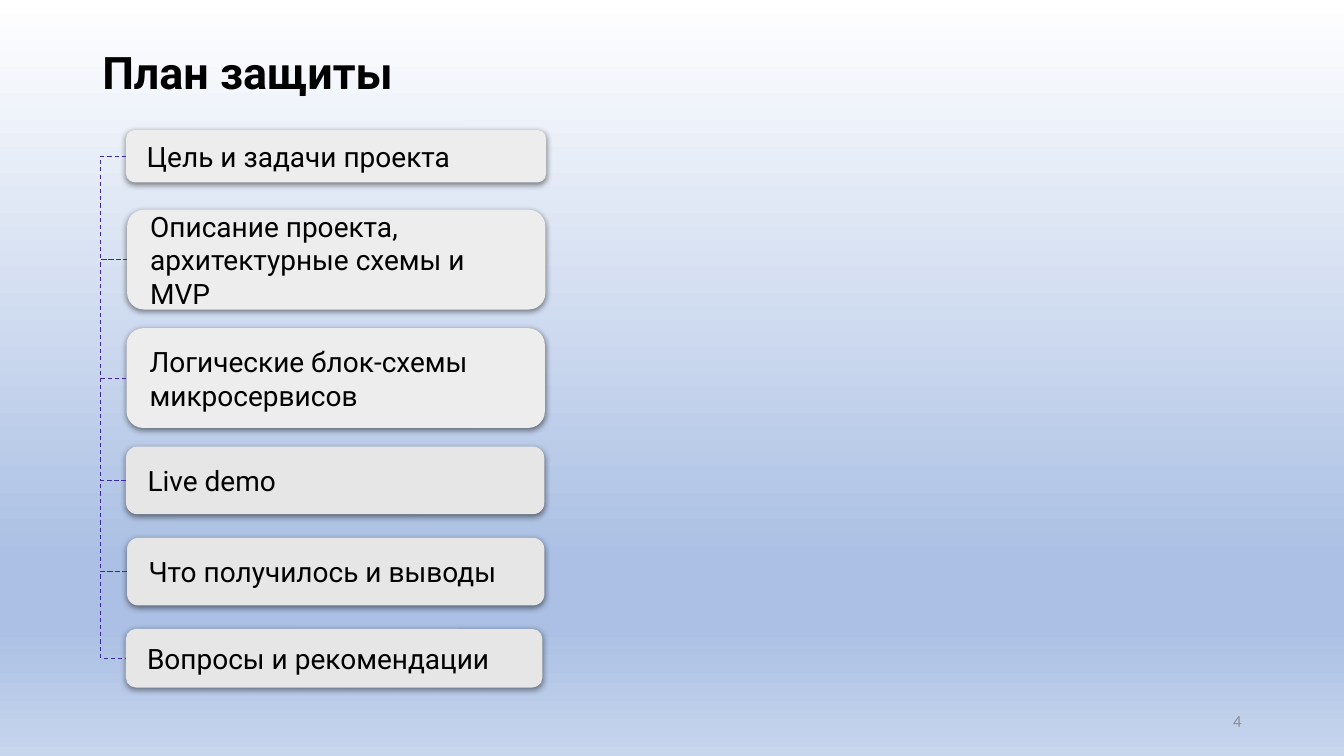
from lxml import etree
from pptx import Presentation
from pptx.dml.color import RGBColor
from pptx.enum import dml, shapes, text
from pptx.oxml import ns, parse_xml
from pptx.util import Pt

COLORS = {
    "text": "000000",
    "number": "8C8C8C",
    "light": "EDEDED",
    "grey": "E7E6E6",
    "line": "3F299A",
    "shadow": "000000",
}
BACKGROUND_STOPS = [(0, "FFFFFF"), (74, "ABC0E4"), (83, "ABC0E4"), (100, "C7D5ED")]

# wording, fill, and left, top, width, height in points
PLAN = [
    ("Цель и задачи проекта", "light", (90, 92.9, 300.2, 37.4)),
    ("Описание проекта, архитектурные схемы и MVP", "light", (90.8, 149.8, 298.8, 71.3)),
    ("Логические блок-схемы микросервисов", "light", (90.4, 234.4, 298.8, 71.3)),
    ("Live demo", "grey", (90, 319, 298.8, 48.3)),
    ("Что получилось и выводы", "grey", (90.8, 384.2, 298.1, 48.3)),
    ("Вопросы и рекомендации", "grey", (90, 449.3, 297.4, 41.8)),
]
LINKS = [(0, 1), (1, 3), (3, 4), (4, 5), (1, 2)]
SPINE_X = 72


def color(name):
    return RGBColor.from_string(COLORS[name])


def paint_background(slide):
    fill = slide.background.fill
    fill.gradient()
    fill.gradient_angle = 270
    stop_list = slide.element.find(".//" + ns.qn("p:bgPr")).find(".//" + ns.qn("a:gsLst"))
    for stop in list(stop_list):
        stop_list.remove(stop)
    for position, value in BACKGROUND_STOPS:
        stop = etree.SubElement(stop_list, ns.qn("a:gs"), pos=str(position * 1000))
        etree.SubElement(stop, ns.qn("a:srgbClr"), val=value)


def write(shape, wording, size, font_name, color_name, bold=False):
    """Put one middle-anchored paragraph into the shape and return it."""
    frame = shape.text_frame
    frame.word_wrap = True
    frame.vertical_anchor = text.MSO_ANCHOR.MIDDLE
    paragraph = frame.paragraphs[0]
    paragraph.alignment = text.PP_ALIGN.LEFT
    run = paragraph.add_run()
    run.text = wording
    run.font.size = Pt(size)
    run.font.name = font_name
    run.font.bold = bold
    run.font.color.rgb = color(color_name)
    return paragraph


def add_title(slide, box):
    shape = slide.shapes.add_textbox(*map(Pt, box))
    paragraph = write(shape, "План защиты", 32, "Roboto", "text", bold=True)
    paragraph.line_spacing = 0.9


def add_slide_number(slide, box):
    shape = slide.shapes.add_textbox(*map(Pt, box))
    paragraph = write(shape, "4", 12, "Calibri", "number")
    paragraph.alignment = text.PP_ALIGN.RIGHT


def add_soft_shadow(shape):
    shape.shadow.inherit = False
    effects = shape.element.spPr.find(ns.qn("a:effectLst"))
    effects.append(parse_xml(
        f'<a:outerShdw {ns.nsdecls("a")} blurRad="{Pt(4.5)}" dist="{Pt(1.5)}" '
        f'dir="5400000" algn="ctr" rotWithShape="0"><a:srgbClr val="{COLORS["shadow"]}">'
        '<a:alpha val="50000"/></a:srgbClr></a:outerShdw>'
    ))


def add_plan_item(slide, wording, fill_name, box):
    shape = slide.shapes.add_shape(shapes.MSO_SHAPE.ROUNDED_RECTANGLE, *map(Pt, box))
    shape.fill.solid()
    shape.fill.fore_color.rgb = color(fill_name)
    shape.line.fill.background()
    add_soft_shadow(shape)
    frame = shape.text_frame
    frame.margin_left = frame.margin_right = Pt(13)
    frame.margin_top = frame.margin_bottom = Pt(7.2)
    write(shape, wording, 20, "Roboto", "text")
    return shape


def add_bracket(slide, first, second):
    """Join the left sides of two items by way of the common spine."""
    connector = slide.shapes.add_connector(
        shapes.MSO_CONNECTOR.ELBOW,
        first.left, first.top + first.height // 2,
        second.left, second.top + second.height // 2,
    )
    connector.begin_connect(first, 1)
    connector.end_connect(second, 1)
    connector.line.color.rgb = color("line")
    connector.line.width = Pt(0.75)
    connector.line.dash_style = dml.MSO_LINE.DASH
    properties = connector.element.spPr
    etree.SubElement(properties, ns.qn("a:effectLst"))
    bend = round((Pt(SPINE_X) - first.left) / (second.left - first.left) * 100000)
    guides = properties.find(ns.qn("a:prstGeom")).get_or_add_avLst()
    etree.SubElement(guides, ns.qn("a:gd"), name="adj1", fmla=f"val {bend}")


def add_plan(slide):
    items = [add_plan_item(slide, *entry) for entry in PLAN]
    for first, second in LINKS:
        add_bracket(slide, items[first], items[second])


def main():
    presentation = Presentation()
    presentation.slide_width = Pt(960)
    presentation.slide_height = Pt(540)
    slide = presentation.slides.add_slide(presentation.slide_layouts[6])
    paint_background(slide)
    add_title(slide, (66, 28.75, 828, 49.7))
    add_slide_number(slide, (678, 500.5, 216, 28.75))
    add_plan(slide)
    presentation.save("out.pptx")


if __name__ == "__main__":
    main()
